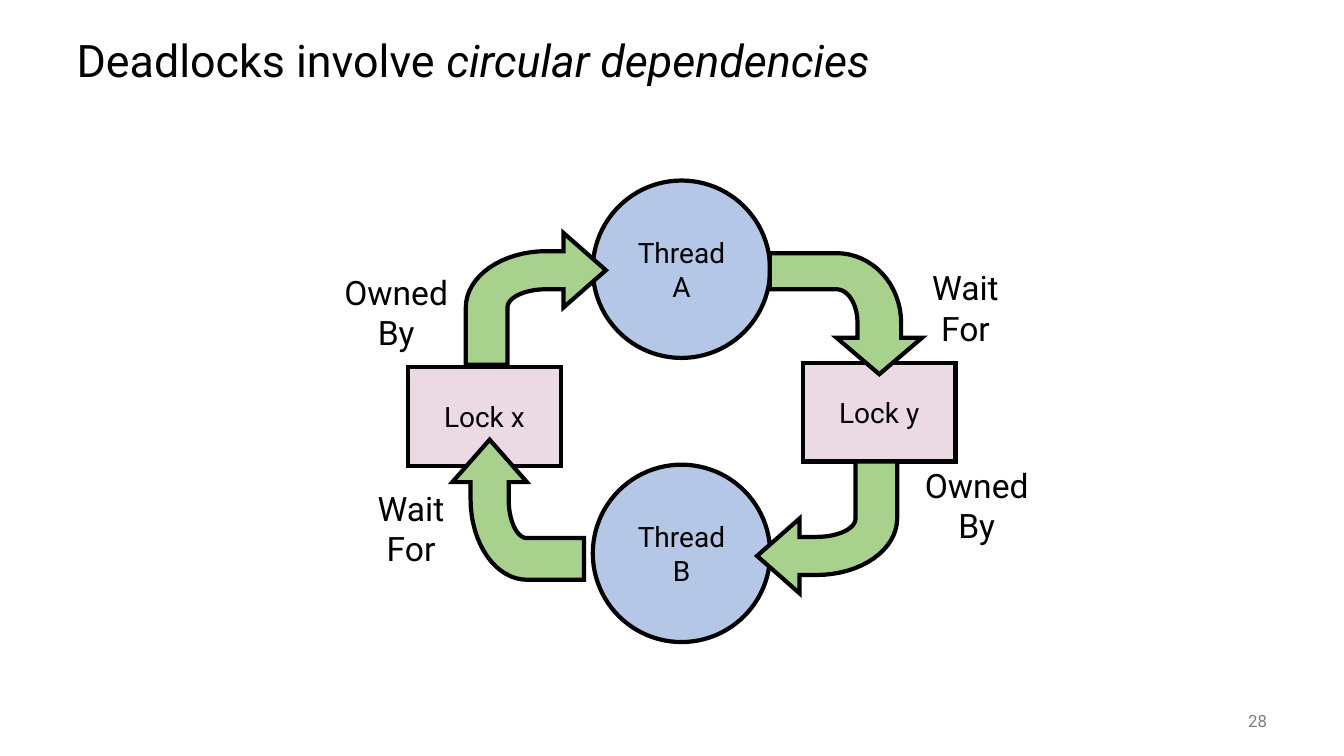
import math

import pptx
import pptx.dml.color
import pptx.enum.shapes
import pptx.enum.text
import pptx.oxml
import pptx.util
from pptx.dml.color import RGBColor
from pptx.util import Cm

BLACK = RGBColor(0x00, 0x00, 0x00)
GREY = RGBColor(0x80, 0x80, 0x80)
BLUE = RGBColor(0xB4, 0xC7, 0xE7)
PINK = RGBColor(0xEB, 0xDA, 0xE3)
GREEN = RGBColor(0xA9, 0xD1, 0x8E)
FONT = "Roboto"
CENTER = pptx.enum.text.PP_ALIGN.CENTER
MIDDLE = pptx.enum.text.MSO_ANCHOR.MIDDLE
OVAL = pptx.enum.shapes.MSO_SHAPE.OVAL
RECTANGLE = pptx.enum.shapes.MSO_SHAPE.RECTANGLE

# Bent arrows: length, height, head height, head length, shaft, stem, bend
WIDE_ARROW = (3.53, 3.32, 1.88, 1.07, 0.96, 1.05, 2.03)
TALL_ARROW = (3.05, 3.84, 2.16, 0.92, 1.1, 0.91, 1.75)


def write(shape, lines, size, color=BLACK, align=CENTER, anchor=MIDDLE, wrap=False):
    frame = shape.text_frame
    frame.word_wrap = wrap
    frame.vertical_anchor = anchor
    frame.text = "\n".join(lines)
    for para in frame.paragraphs:
        para.alignment = align
        para.font.name = FONT
        para.font.size = pptx.util.Pt(size)
        para.font.color.rgb = color


def paint(shape, fill):
    shape.shadow.inherit = False
    shape.fill.solid()
    shape.fill.fore_color.rgb = fill
    shape.line.color.rgb = BLACK
    shape.line.width = pptx.util.Pt(3)
    miter = pptx.oxml.parse_xml(
        '<a:miter xmlns:a="http://schemas.openxmlformats.org/drawingml/2006/main" lim="800000"/>')
    shape.line.fill._xPr.append(miter)


def add_node(page, kind, fill, left, top, width, height, lines):
    node = page.shapes.add_shape(kind, Cm(left), Cm(top), Cm(width), Cm(height))
    paint(node, fill)
    write(node, lines, 20)


def add_label(page, left, top, width, lines):
    box = page.shapes.add_textbox(Cm(left), Cm(top), Cm(width), Cm(2.31))
    write(box, lines, 24, anchor=pptx.enum.text.MSO_ANCHOR.TOP)


def quarter_curve(center_x, center_y, radius_x, radius_y, steps=16):
    """Points from the top of an ellipse round to its left side."""
    angles = [math.pi / 2 * step / steps for step in range(steps + 1)]
    return [(center_x - radius_x * math.sin(a), center_y - radius_y * math.cos(a))
            for a in angles]


def add_bent_arrow(page, left, top, sizes, turns):
    """Arrow that rises, bends and points right, then is turned clockwise by quarters."""
    length, height, head, head_length, shaft, stem, bend = sizes
    base = length - head_length
    upper, lower = (head - shaft) / 2, (head + shaft) / 2
    outline = [(length, head / 2), (base, 0), (base, upper)]
    outline += quarter_curve(bend, head, bend, head - upper)
    outline += [(0, height), (stem, height)]
    outline += reversed(quarter_curve(bend, head, bend - stem, head - lower))
    outline += [(base, lower), (base, head)]
    for _ in range(turns):
        outline = [(height - y, x) for x, y in outline]
        length, height = height, length
    points = [(Cm(left + x), Cm(top + y)) for x, y in outline]
    builder = page.shapes.build_freeform(*points[0])
    builder.add_line_segments(points[1:], close=True)
    paint(builder.convert_to_shape(), GREEN)


def add_title(page, left, top, width, height):
    box = page.shapes.add_textbox(Cm(left), Cm(top), Cm(width), Cm(height))
    write(box, ["Deadlocks involve "], 32, align=pptx.enum.text.PP_ALIGN.LEFT, wrap=True)
    para = box.text_frame.paragraphs[0]
    para.line_spacing = 0.9
    span = para.add_run()
    span.text = "circular dependencies"
    span.font.italic = True


def add_page_number(page, left, top, width, height):
    box = page.shapes.add_textbox(Cm(left), Cm(top), Cm(width), Cm(height))
    write(box, ["28"], 12, GREY, pptx.enum.text.PP_ALIGN.RIGHT, wrap=True)


def add_cycle(page, left, top):
    # Locks and threads
    for x, y, name in ((11.83, 4.59, "Lock y"), (1.88, 4.7, "Lock x")):
        add_node(page, RECTANGLE, PINK, left + x, top + y, 3.84, 2.49, [name])
    for y, name in ((7.16, "B"), (0, "A")):
        add_node(page, OVAL, BLUE, left + 6.53, top + y, 4.47, 4.47, ["Thread", name])

    # Arrows, clockwise from the upper left
    arrows = ((3.33, 1.32, WIDE_ARROW), (10.99, 1.83, TALL_ARROW),
              (10.67, 7.08, WIDE_ARROW), (2.99, 6.53, WIDE_ARROW))
    for turns, (x, y, sizes) in enumerate(arrows):
        add_bent_arrow(page, left + x, top + y, sizes, turns)

    # Relations
    for x, y in ((14.83, 2.06), (0.86, 7.62)):
        add_label(page, left + x, top + y, 2.18, ["Wait", "For"])
    for x, y in ((14.63, 7.03), (0, 2.18)):
        add_label(page, left + x, top + y, 3.15, ["Owned", "By"])


def main():
    deck = pptx.Presentation()
    deck.slide_width, deck.slide_height = Cm(33.87), Cm(19.05)
    page = deck.slides.add_slide(deck.slide_layouts[6])
    add_title(page, 1.68, 0.64, 30.48, 1.9)
    add_page_number(page, 29.64, 17.65, 2.54, 1.02)
    add_cycle(page, 8.41, 4.55)
    deck.save("out.pptx")


if __name__ == "__main__":
    main()
